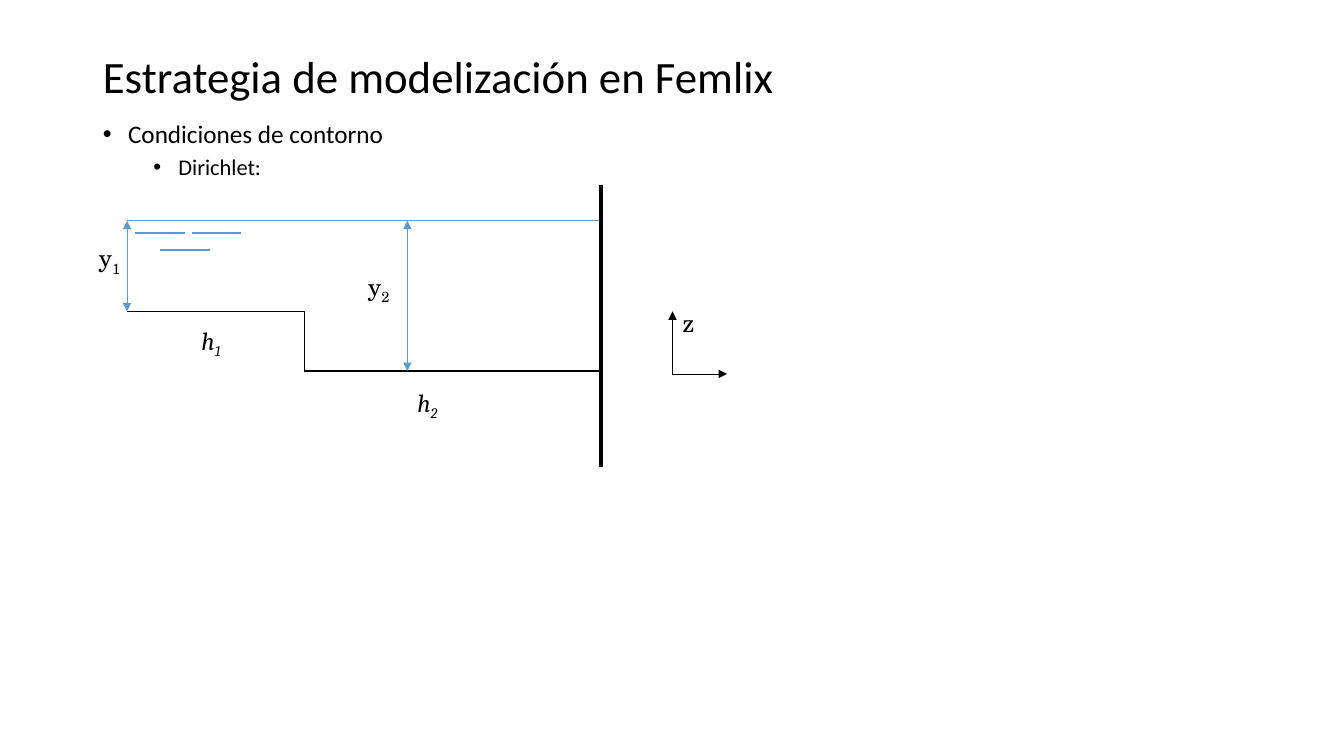
from dataclasses import dataclass
from typing import Any

import lxml.etree
import pptx
import pptx.dml.color
import pptx.enum.shapes
import pptx.enum.text
import pptx.oxml.ns
import pptx.util

EMU_PER_PX = 9144  # 100 px to the inch
BLACK = pptx.dml.color.RGBColor(0x00, 0x00, 0x00)
WATER_BLUE = pptx.dml.color.RGBColor(0x5B, 0x9B, 0xD5)
BODY_FONT = "Calibri"
DEPTH_FONT = "TeX Gyre Schola"
HEAD_FONT = "Cambria"

# Levels and stations shared by the parts of the channel
SURFACE, UPPER_BED, LOWER_BED = 219, 309, 368
INLET, STEP, DEPTH_GAUGE, GATE = 126, 302, 404, 596
RIPPLE_LENGTH = 49
AXIS_X, AXIS_Z = 667, 371


@dataclass(frozen=True)
class Stroke:
    x1: int
    y1: int
    x2: int
    y2: int
    color: pptx.dml.color.RGBColor = BLACK
    width: float = 1
    head: bool = False
    tail: bool = False


@dataclass(frozen=True)
class Label:
    text: str
    left: int
    top: int
    width: int
    subscript: str = ""
    font: str = DEPTH_FONT
    italic: bool = False
    wrap: bool = True


@dataclass(frozen=True)
class Bullet:
    text: str
    level: int
    size: int
    indent: int
    space_before: int


def ripple(x: int, y: int) -> Stroke:
    return Stroke(x, y, x + RIPPLE_LENGTH, y, WATER_BLUE)


def depth(x: int, bed: int) -> Stroke:
    """Double-headed dimension from the water surface to the bed."""
    return Stroke(x, SURFACE, x, bed, WATER_BLUE, 0.5, head=True, tail=True)


STROKES = [
    Stroke(INLET, SURFACE, GATE, SURFACE, WATER_BLUE),
    ripple(134, 231),
    ripple(159, 248),
    ripple(190, 231),
    Stroke(GATE, 184, GATE, 463, width=3),
    Stroke(INLET, UPPER_BED, STEP, UPPER_BED),
    Stroke(STEP, UPPER_BED, STEP, LOWER_BED),
    Stroke(STEP, LOWER_BED, GATE, LOWER_BED),
    Stroke(AXIS_X, AXIS_Z, AXIS_X, UPPER_BED, width=0.5, tail=True),
    Stroke(AXIS_X, AXIS_Z, 721, AXIS_Z, width=0.5, tail=True),
    depth(INLET, UPPER_BED),
    depth(DEPTH_GAUGE, LOWER_BED),
]
LABELS = [
    Label("z", AXIS_X, 300, 40),
    Label("y", 88, 236, 49, "1"),
    Label("y", 355, 264, 49, "2"),
    Label("h", 190, 318, 42, "1", HEAD_FONT, italic=True, wrap=False),
    Label("h", DEPTH_GAUGE, 379, 42, "2", HEAD_FONT, italic=True, wrap=False),
]
BULLETS = [
    Bullet("Condiciones de contorno", 0, 18, 25, 10),
    Bullet("Dirichlet:", 1, 16, 75, 5),
]
HANGING = 25


def px(length: int) -> pptx.util.Emu:
    return pptx.util.Emu(length * EMU_PER_PX)


def add_child(parent: Any, tag: str, **attributes: str) -> None:
    lxml.etree.SubElement(parent, pptx.oxml.ns.qn(tag), attributes)


def write_text(paragraph: Any, text: str, *, size: int = 18, font: str = BODY_FONT,
               italic: bool = False, subscript: bool = False) -> None:
    run = paragraph.add_run()
    run.text = text
    run.font.size = pptx.util.Pt(size)
    run.font.name = font
    run.font.italic = italic
    run.font.color.rgb = BLACK
    if subscript:
        run.font._element.set("baseline", "-25000")


def draw_stroke(slide: Any, stroke: Stroke) -> None:
    connector = slide.shapes.add_connector(
        pptx.enum.shapes.MSO_CONNECTOR.STRAIGHT,
        px(stroke.x1), px(stroke.y1), px(stroke.x2), px(stroke.y2))
    connector.line.color.rgb = stroke.color
    connector.line.width = pptx.util.Pt(stroke.width)
    properties = connector._element.spPr
    outline = properties.find(pptx.oxml.ns.qn("a:ln"))
    if stroke.head:
        add_child(outline, "a:headEnd", type="triangle")
    if stroke.tail:
        add_child(outline, "a:tailEnd", type="triangle")
    add_child(properties, "a:effectLst")


def draw_label(slide: Any, label: Label) -> None:
    frame = slide.shapes.add_textbox(
        px(label.left), px(label.top), px(label.width), px(40)).text_frame
    frame.word_wrap = label.wrap
    frame.auto_size = pptx.enum.text.MSO_AUTO_SIZE.SHAPE_TO_FIT_TEXT
    paragraph = frame.paragraphs[0]
    write_text(paragraph, label.text, font=label.font, italic=label.italic)
    if label.subscript:
        write_text(paragraph, label.subscript, font=label.font,
                   italic=label.italic, subscript=True)


def place(placeholder: Any, top: int, height: int, anchor: Any) -> Any:
    """Move a placeholder into the text column and return its text frame."""
    placeholder.left, placeholder.top = px(92), px(top)
    placeholder.width, placeholder.height = px(1150), px(height)
    frame = placeholder.text_frame
    frame.auto_size = pptx.enum.text.MSO_AUTO_SIZE.NONE
    frame.vertical_anchor = anchor
    return frame


def format_paragraph(paragraph: Any, space_before: int = 0) -> None:
    paragraph.alignment = pptx.enum.text.PP_ALIGN.LEFT
    paragraph.line_spacing = 0.9
    paragraph.space_before = pptx.util.Pt(space_before)


def write_bullet(paragraph: Any, bullet: Bullet) -> None:
    format_paragraph(paragraph, bullet.space_before)
    paragraph.level = bullet.level
    properties = paragraph._p.get_or_add_pPr()
    properties.set("marL", str(px(bullet.indent)))
    properties.set("indent", str(px(-HANGING)))
    add_child(properties, "a:buFont", typeface="Arial")
    add_child(properties, "a:buChar", char="•")
    write_text(paragraph, bullet.text, size=bullet.size)


def main() -> None:
    presentation = pptx.Presentation()
    presentation.slide_width, presentation.slide_height = px(1333), px(750)
    slide = presentation.slides.add_slide(presentation.slide_layouts[1])

    heading = place(slide.shapes.title, 40, 76,
                    pptx.enum.text.MSO_ANCHOR.MIDDLE).paragraphs[0]
    format_paragraph(heading)
    write_text(heading, "Estrategia de modelización en Femlix", size=32)

    conditions = place(slide.placeholders[1], 116, 525, pptx.enum.text.MSO_ANCHOR.TOP)
    for index, bullet in enumerate(BULLETS):
        paragraph = conditions.add_paragraph() if index else conditions.paragraphs[0]
        write_bullet(paragraph, bullet)

    for stroke in STROKES:
        draw_stroke(slide, stroke)
    for label in LABELS:
        draw_label(slide, label)
    presentation.save("out.pptx")


if __name__ == "__main__":
    main()
